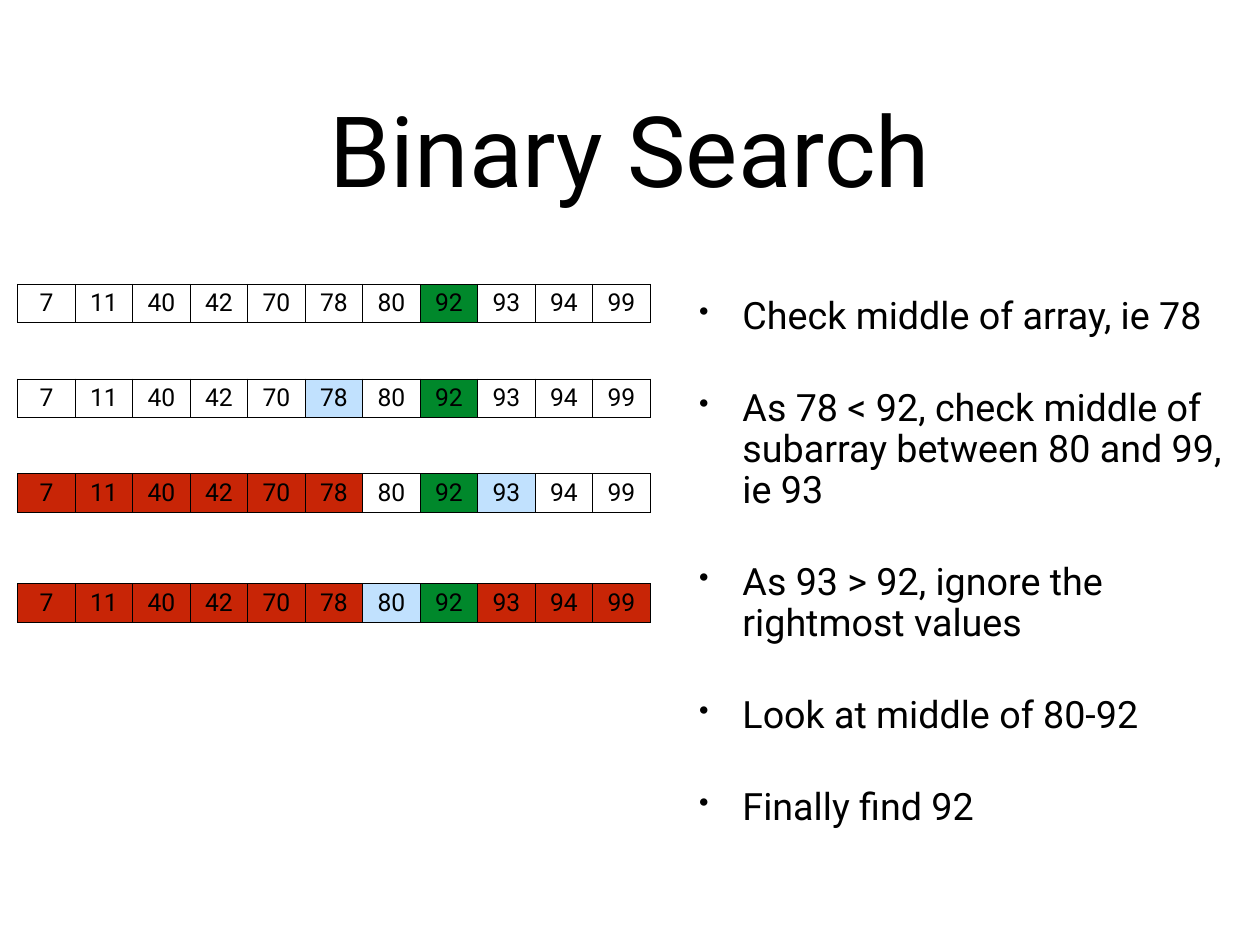
from lxml import etree
from pptx import Presentation
from pptx.dml.color import RGBColor
from pptx.enum.text import MSO_ANCHOR, PP_ALIGN
from pptx.oxml import parse_xml
from pptx.oxml.ns import nsdecls, qn
from pptx.util import Inches, Pt

CENTER = PP_ALIGN.CENTER
LEFT = PP_ALIGN.LEFT
MIDDLE = MSO_ANCHOR.MIDDLE

THEME = {
    "font": "Roboto",
    "text": "000000",
    "target": "00882B",
    "checked": "C1E1FE",
    "ignored": "C82506",
    "title_size": 80,
    "body_size": 30.6,
    "cell_size": 20,
}

VALUES = [7, 11, 40, 42, 70, 78, 80, 92, 93, 94, 99]
TARGET = 92
STEPS = [
    (3.21, None, []),
    (4.28, 78, []),
    (5.35, 93, VALUES[:6]),
    (6.59, 80, VALUES[:6] + VALUES[8:]),
]
NOTES = [
    "Check middle of array, ie 78",
    "As 78 < 92, check middle of subarray between 80 and 99, ie 93",
    "As 93 > 92, ignore the rightmost values",
    "Look at middle of 80-92",
    "Finally find 92",
]
CELL_W = 0.649
CELL_H = 0.43


def write(p, text, size, align):
    p.text = text
    p.alignment = align
    font = p.runs[0].font
    font.name = THEME["font"]
    font.size = Pt(size)
    font.color.rgb = RGBColor.from_string(THEME["text"])


def add_text_frame(slide, left, top, width, height):
    box = slide.shapes.add_textbox(Inches(left), Inches(top), Inches(width), Inches(height))
    tf = box.text_frame
    tf.word_wrap = True
    tf.vertical_anchor = MIDDLE
    tf.margin_left = tf.margin_right = tf.margin_top = tf.margin_bottom = Inches(0.06)
    return tf


prs = Presentation()
prs.slide_width = Inches(14.22)
prs.slide_height = Inches(10.67)
s = prs.slides.add_slide(prs.slide_layouts[6])

tf = add_text_frame(s, 1.04, 0.49, 12.14, 2.36)
write(tf.paragraphs[0], "Binary Search", THEME["title_size"], CENTER)

tf = add_text_frame(s, 7.83, 3.2, 6.24, 6.31)
for i, note in enumerate(NOTES):
    p = tf.add_paragraph() if i else tf.paragraphs[0]
    write(p, note, THEME["body_size"], LEFT)
    p.line_spacing = 0.9
    p.space_before = Pt(42)
    pPr = p._p.get_or_add_pPr()
    pPr.set("marL", str(Inches(0.49)))
    pPr.set("indent", str(Inches(-0.49)))
    etree.SubElement(pPr, qn("a:buSzPct"), val="75000")
    etree.SubElement(pPr, qn("a:buChar"), char="•")

for top, checked, ignored in STEPS:
    frame = s.shapes.add_table(1, len(VALUES), Inches(0.2), Inches(top),
                               Inches(CELL_W * len(VALUES)), Inches(CELL_H))
    table = frame.table
    table.first_row = False
    table.horz_banding = False
    for col, value in enumerate(VALUES):
        table.columns[col].width = Inches(CELL_W)
        cell = table.cell(0, col)
        cell.vertical_anchor = MIDDLE
        write(cell.text_frame.paragraphs[0], str(value), THEME["cell_size"], CENTER)
        tcPr = cell._tc.get_or_add_tcPr()
        for side in ("lnL", "lnR", "lnT", "lnB"):
            tcPr.append(parse_xml(
                f'<a:{side} {nsdecls("a")} w="{Pt(1)}"><a:solidFill>'
                f'<a:srgbClr val="{THEME["text"]}"/></a:solidFill></a:{side}>'))
        if value == TARGET:
            role = "target"
        elif value == checked:
            role = "checked"
        elif value in ignored:
            role = "ignored"
        else:
            cell.fill.background()
            continue
        cell.fill.solid()
        cell.fill.fore_color.rgb = RGBColor.from_string(THEME[role])

prs.save("out.pptx")
